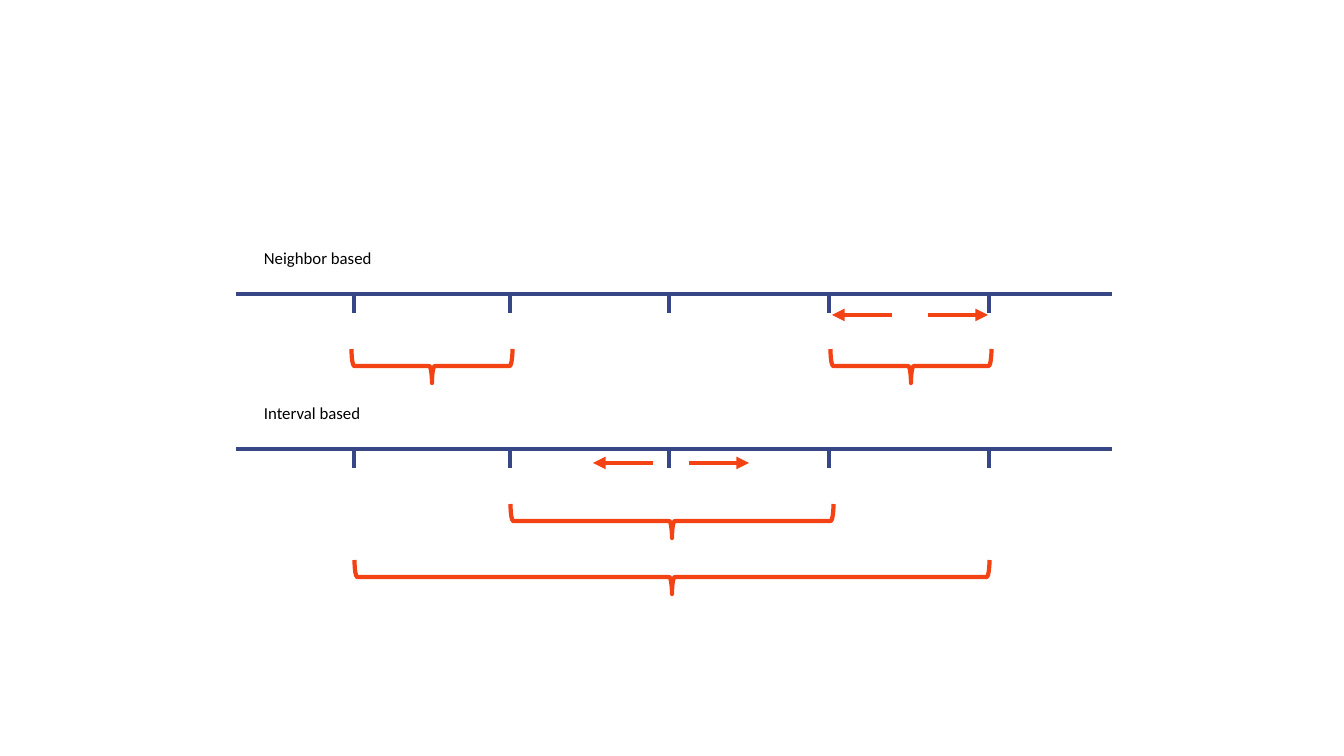
import pptx
import pptx.util
import pptx.dml.color
import pptx.enum.shapes
import pptx.enum.text
import pptx.oxml
import pptx.oxml.ns

SCALE = 914400 / 100.8
COLORS = {"axis": "374785", "accent": "F34213", "text": "000000"}
AXIS_LEFT, AXIS_RIGHT = 236, 1112
TICKS = [355, 511, 670, 830, 990]
TICK_LENGTH = 19
LABEL_LEFT, LABEL_RISE, LABEL_WIDTH, LABEL_HEIGHT = 254, 51, 138, 30
ARROW_INSET, ARROW_LENGTH = 18, 60
BRACE_DEPTH = 34
STROKE = 3

DIAGRAMS = [
    {
        "label": "Neighbor based",
        "axis": 294,
        "arrows": (910, 315),
        "braces": [(911, 366, 161), (432, 366, 161)],
    },
    {
        "label": "Interval based",
        "axis": 449,
        "arrows": (671, 463),
        "braces": [(672, 521, 323), (672, 577, 635)],
    },
]


def px(value):
    return pptx.util.Emu(round(value * SCALE))


def rgb(name):
    return pptx.dml.color.RGBColor.from_string(COLORS[name])


def add_line(group, start, end, color, arrow=False):
    line = group.shapes.add_connector(
        pptx.enum.shapes.MSO_CONNECTOR.STRAIGHT, *map(px, (*start, *end))
    )
    line.line.color.rgb = rgb(color)
    line.line.width = pptx.util.Pt(STROKE)
    properties = line._element.spPr
    if arrow:
        head = pptx.oxml.parse_xml(
            f'<a:tailEnd {pptx.oxml.ns.nsdecls("a")} type="triangle"/>'
        )
        line.line._get_or_add_ln().append(head)
    properties.append(
        pptx.oxml.parse_xml(f'<a:effectLst {pptx.oxml.ns.nsdecls("a")}/>')
    )


def add_brace(group, center, middle, length):
    brace = group.shapes.add_shape(
        pptx.enum.shapes.MSO_SHAPE.LEFT_BRACE,
        px(center - BRACE_DEPTH / 2),
        px(middle - length / 2),
        px(BRACE_DEPTH),
        px(length),
    )
    brace.rotation = 270
    brace.shadow.inherit = False
    brace.fill.background()
    brace.line.color.rgb = rgb("accent")
    brace.line.width = pptx.util.Pt(STROKE)


def add_text(group, text, left, top, width, height, size=12, color="text", font="Calibri"):
    box = group.shapes.add_textbox(*map(px, (left, top, width, height)))
    box.text_frame.word_wrap = True
    box.text_frame.auto_size = pptx.enum.text.MSO_AUTO_SIZE.SHAPE_TO_FIT_TEXT
    span = box.text_frame.paragraphs[0].add_run()
    span.text = text
    span.font.size = pptx.util.Pt(size)
    span.font.name = font
    span.font.color.rgb = rgb(color)


def add_diagram(page, diagram):
    group = page.shapes.add_group_shape()
    axis = diagram["axis"]
    for tick in TICKS:
        add_line(group, (tick - 1, axis), (tick - 1, axis + TICK_LENGTH), "axis")
    add_line(group, (AXIS_LEFT, axis), (AXIS_RIGHT, axis), "axis")
    for brace in diagram["braces"]:
        add_brace(group, *brace)
    center, level = diagram["arrows"]
    for direction in (-1, 1):
        start = center + direction * ARROW_INSET
        end = start + direction * ARROW_LENGTH
        add_line(group, (start, level), (end, level), "accent", arrow=True)
    add_text(
        group, diagram["label"], LABEL_LEFT, axis - LABEL_RISE, LABEL_WIDTH, LABEL_HEIGHT
    )


def main():
    deck = pptx.Presentation()
    deck.slide_width, deck.slide_height = px(1344), px(756)
    page = deck.slides.add_slide(deck.slide_layouts[6])
    for diagram in DIAGRAMS:
        add_diagram(page, diagram)
    deck.save("out.pptx")


if __name__ == "__main__":
    main()
